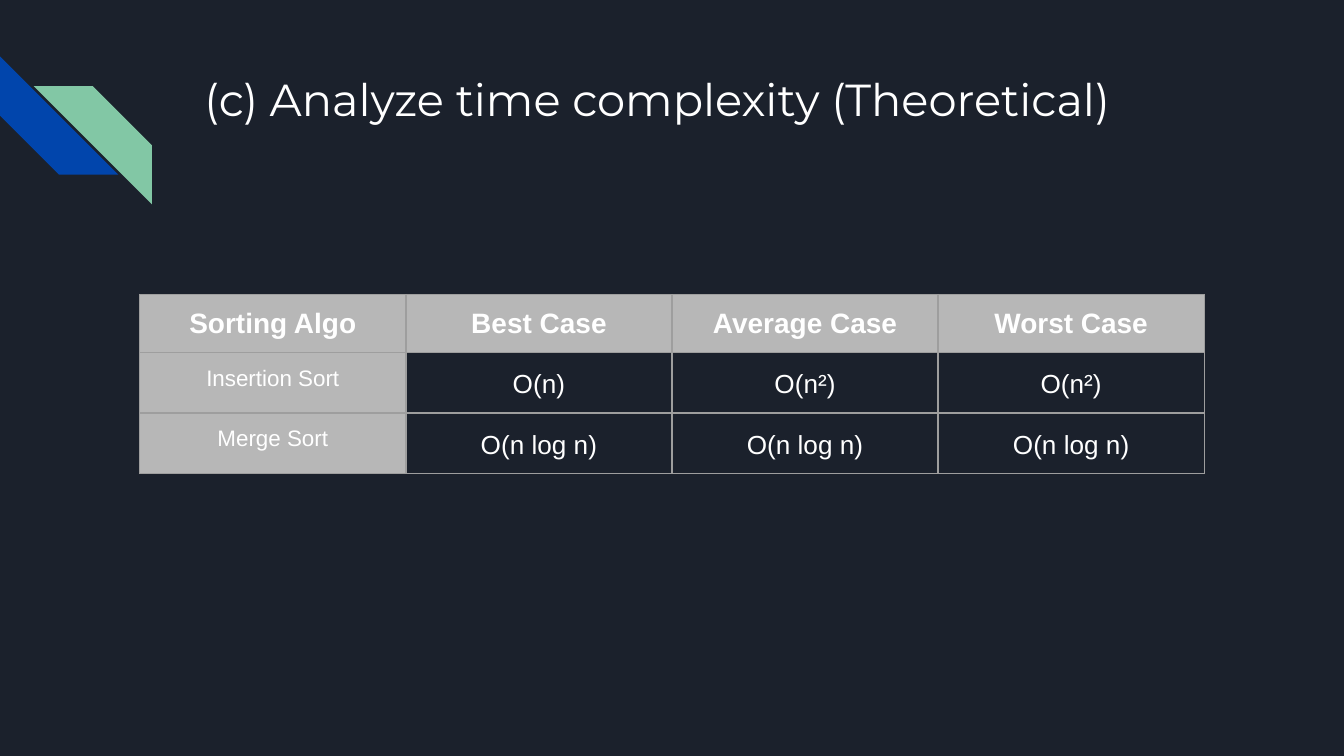
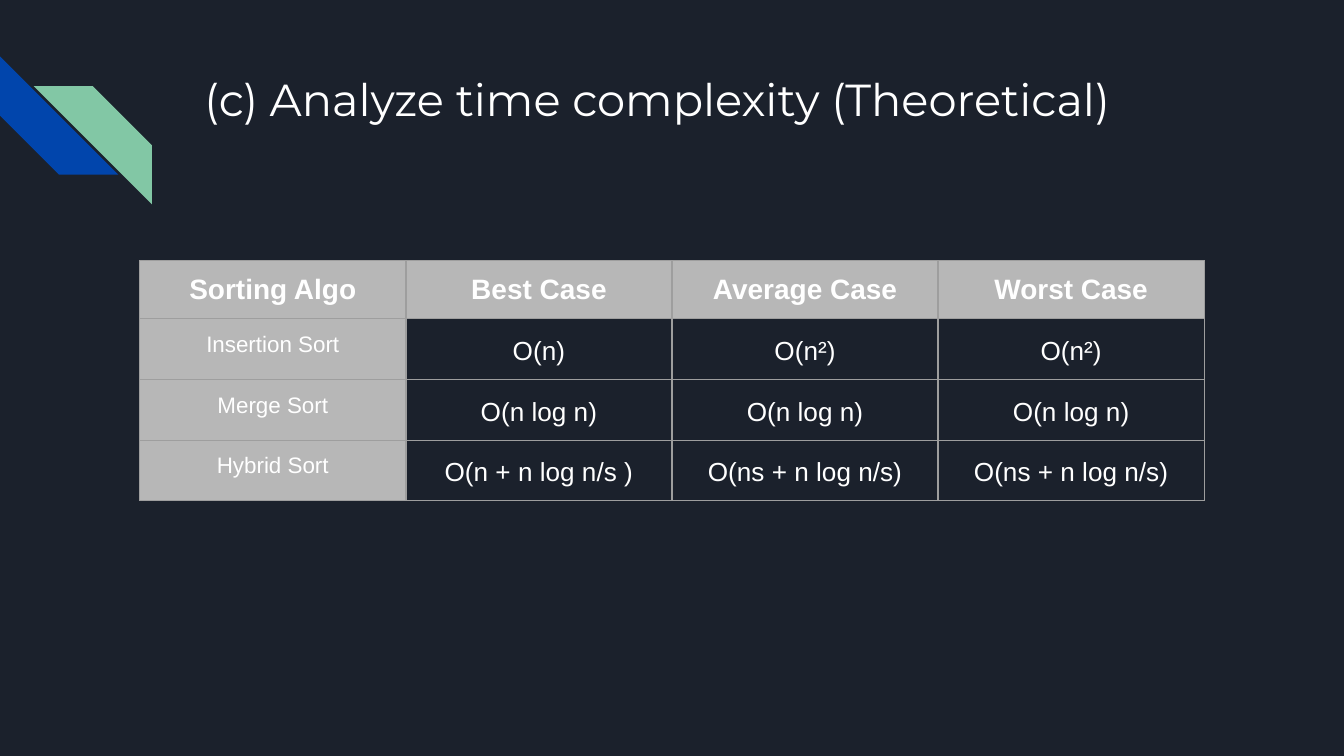
from lxml import etree
from pptx import Presentation
from pptx.dml.color import RGBColor
from pptx.enum.shapes import MSO_SHAPE as SHAPE
from pptx.enum.text import MSO_ANCHOR as ANCHOR, MSO_AUTO_SIZE as AUTO, PP_ALIGN as ALIGN
from pptx.oxml.ns import qn
from pptx.util import Inches, Pt

NAVY = RGBColor(0x1B, 0x21, 0x2C)
BLUE = RGBColor(0x01, 0x45, 0xAC)
GREEN = RGBColor(0x82, 0xC7, 0xA5)
WHITE = RGBColor(0xFF, 0xFF, 0xFF)
LIGHT_GRAY = RGBColor(0xB7, 0xB7, 0xB7)
BORDER = RGBColor(0x9E, 0x9E, 0x9E)

TITLE = "(c) Analyze time complexity (Theoretical)"
HEADER = ["Sorting Algo", "Best Case", "Average Case", "Worst Case"]
INSERTION = ["Insertion Sort", "O(n)", "O(n²)", "O(n²)"]
MERGE = ["Merge Sort", "O(n log n)", "O(n log n)", "O(n log n)"]
HYBRID = ["Hybrid Sort", "O(n + n log n/s )", "O(ns + n log n/s)", "O(ns + n log n/s)"]
COL_W, ROW_H = 1.98, 0.42


def write(tf, text, size, font="Arial", bold=False, align=ALIGN.LEFT, spacing=None):
    p = tf.paragraphs[0]
    p.alignment = align
    p.line_spacing = spacing
    r = p.add_run()
    r.text = text
    r.font.size = Pt(size)
    r.font.name = font
    r.font.bold = bold
    r.font.color.rgb = WHITE


def add_borders(cell):
    tcPr = cell._tc.get_or_add_tcPr()
    for side in ("lnL", "lnR", "lnT", "lnB"):
        ln = etree.SubElement(tcPr, qn(f"a:{side}"), w=str(Pt(0.75)))
        fill = etree.SubElement(ln, qn("a:solidFill"))
        etree.SubElement(fill, qn("a:srgbClr"), val=str(BORDER))


# 16:9 page
prs = Presentation()
prs.slide_width, prs.slide_height = Inches(10), Inches(10 * 9 / 16)

# Shared background and title frame
bg = prs.slide_master.background.fill
bg.solid()
bg.fore_color.rgb = NAVY
layout = prs.slide_layouts.get_by_name("Title Only")
title = layout.placeholders[0]
title.left, title.top = Inches(1.42), Inches(0.43)
title.width, title.height = Inches(7.7), Inches(1)

slides = [
    (2.19, [HEADER, INSERTION, MERGE]),
    (1.94, [HEADER, INSERTION, MERGE, HYBRID]),
]
for top, rows in slides:
    s = prs.slides.add_slide(layout)
    tf = s.shapes.title.text_frame
    tf.margin_left = tf.margin_right = tf.margin_top = tf.margin_bottom = Inches(0.1)
    tf.vertical_anchor = ANCHOR.TOP
    tf.auto_size = AUTO.NONE
    tf.word_wrap = True
    write(tf, TITLE, 24, font="Montserrat")

    table = s.shapes.add_table(len(rows), len(HEADER), Inches(1.04), Inches(top),
                               Inches(COL_W * len(HEADER)), Inches(ROW_H * len(rows))).table
    table.first_row = table.horz_banding = False
    for i, row in enumerate(rows):
        for j, text in enumerate(row):
            cell = table.cell(i, j)
            cell.margin_left = cell.margin_right = Inches(0.1)
            cell.margin_top = cell.margin_bottom = Inches(0.1)
            add_borders(cell)
            if i == 0 or j == 0:
                cell.fill.solid()
                cell.fill.fore_color.rgb = LIGHT_GRAY
            else:
                cell.fill.background()
            if i == 0:
                write(cell.text_frame, text, 15, bold=True, align=ALIGN.CENTER)
            elif j == 0:
                write(cell.text_frame, text, 12, align=ALIGN.CENTER)
            else:
                write(cell.text_frame, text, 14, align=ALIGN.CENTER, spacing=1.15)

# Corner stripes: a layout cannot add shapes, so build on a slide and move them there
for left, top, rotation, color in [(0, 0.42, 270, BLUE), (0.25, 0.64, 90, GREEN)]:
    sp = s.shapes.add_shape(SHAPE.DIAGONAL_STRIPE, Inches(left), Inches(top),
                            Inches(0.88), Inches(0.88))
    sp.rotation = rotation
    sp.shadow.inherit = False
    sp.fill.solid()
    sp.fill.fore_color.rgb = color
    sp.line.fill.background()
    layout.shapes.element.append(sp.element)

prs.save("out.pptx")
